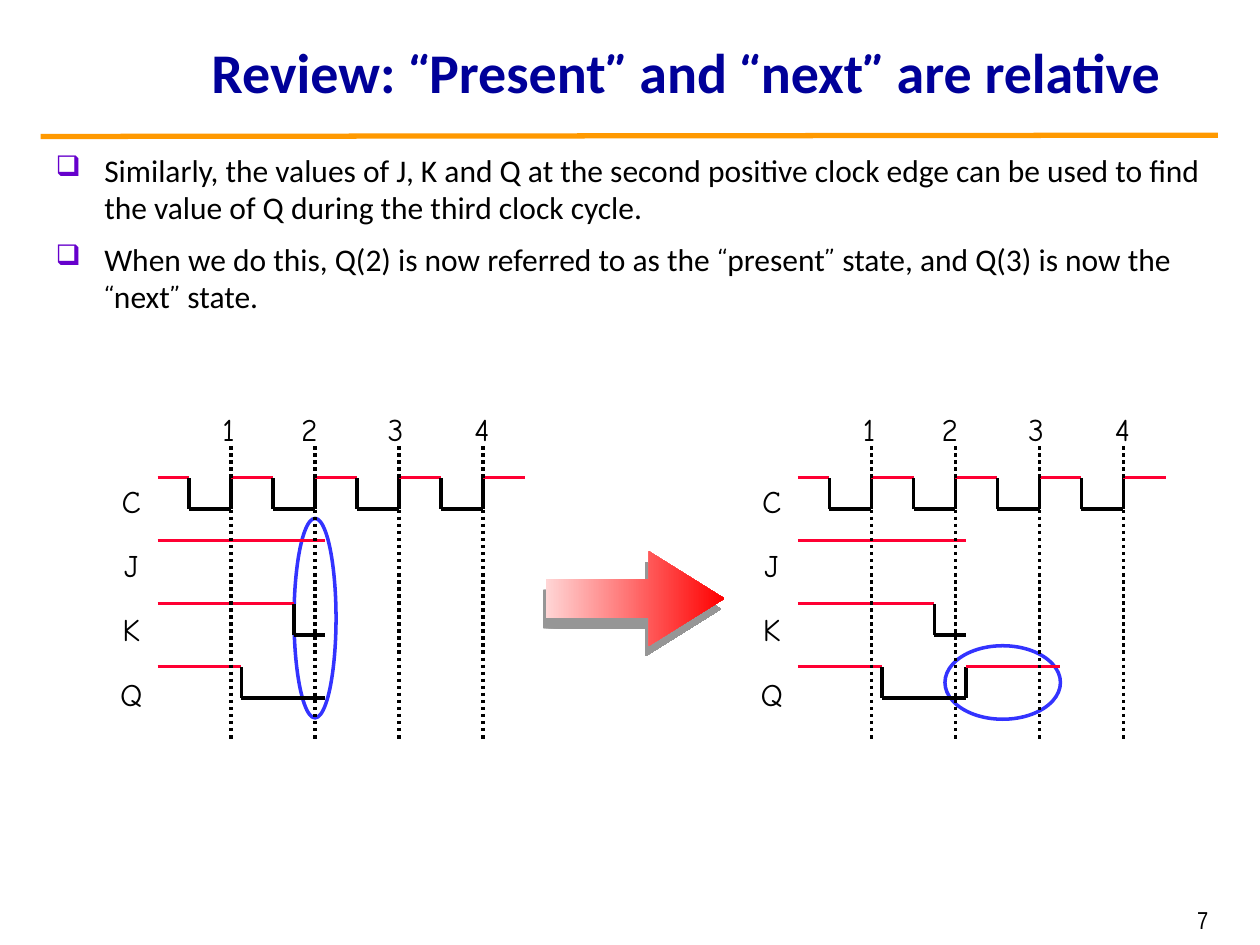
"""Build the slide on present and next states with two timing diagrams."""
from dataclasses import dataclass
from itertools import groupby, pairwise

import lxml.etree
import pptx
import pptx.dml.color
import pptx.enum.dml
import pptx.enum.shapes
import pptx.enum.text
import pptx.oxml.ns
import pptx.util

EMU_PER_PX = 9525
QUOTES = "“”"
ALIGN = pptx.enum.text.PP_ALIGN
SHAPE = pptx.enum.shapes.MSO_SHAPE


@dataclass(frozen=True)
class Theme:
    title: str = "000099"
    rule: str = "FF9900"
    text: str = "000000"
    bullet: str = "6600CC"
    high: str = "FF0033"
    low: str = "000000"
    focus: str = "3333FF"
    arrow_start: str = "FFD5D5"
    arrow_end: str = "FF0000"
    shadow: str = "969696"
    body_font: str = "Calibri"
    diagram_font: str = "Comic Neue"
    number_font: str = "Arial Narrow"
    title_size: int = 32
    body_size: int = 18
    number_size: int = 14
    rule_width: int = 3
    signal_width: int = 2


@dataclass(frozen=True)
class Box:
    left: int
    top: int
    width: int
    height: int

    def emu(self) -> list[int]:
        return [px(n) for n in (self.left, self.top, self.width, self.height)]


@dataclass(frozen=True)
class Signal:
    """A signal that starts high and toggles at each inner offset."""
    name: str
    offsets: tuple[int, ...]


@dataclass(frozen=True)
class Diagram:
    left: int
    signals: tuple[Signal, ...]
    focus: Box


THEME = Theme()
SIGNAL_TOP, SIGNAL_PITCH, SWING = 364, 48, 24
EDGE_START, EDGE_PITCH, EDGE_TOP, EDGE_BOTTOM = 56, 64, 340, 564
TAB_START, TAB_PITCH = 60, 66

CLOCK = Signal("C", (0, *range(24, 281, 32)))
INPUT_J = Signal("J", (0, 128))
INPUT_K = Signal("K", (0, 104, 128))
DIAGRAMS = (
    Diagram(120, (CLOCK, INPUT_J, INPUT_K, Signal("Q", (0, 64, 128))),
            Box(224, 395, 32, 152)),
    Diagram(608, (CLOCK, INPUT_J, INPUT_K, Signal("Q", (0, 64, 128, 200))),
            Box(720, 492, 88, 56)),
)
TITLE = "Review: “Present” and “next” are relative"
POINTS = (
    "Similarly, the values of J, K and Q at the second positive clock edge "
    "can be used to find the value of Q during the third clock cycle.",
    "When we do this, Q(2) is now referred to as the “present” state, "
    "and Q(3) is now the “next” state.",
)


def px(length: int) -> int:
    return pptx.util.Emu(length * EMU_PER_PX)


def rgb(value: str) -> pptx.dml.color.RGBColor:
    return pptx.dml.color.RGBColor.from_string(value)


def add_xml(parent, tag: str, **attributes):
    return lxml.etree.SubElement(parent, pptx.oxml.ns.qn(tag), attributes)


def style(paragraph, size: int, color: str, name: str | None = None) -> None:
    paragraph.font.size = pptx.util.Pt(size)
    paragraph.font.color.rgb = rgb(color)
    if name:
        paragraph.font.name = name


def add_quoted_text(paragraph, text: str) -> None:
    """Add runs whose quotation marks use the diagram font."""
    for is_quote, letters in groupby(text, lambda letter: letter in QUOTES):
        run = paragraph.add_run()
        run.text = "".join(letters)
        run.font.name = THEME.diagram_font if is_quote else THEME.body_font


def add_text_frame(slide, box: Box, wrap: bool):
    frame = slide.shapes.add_textbox(*box.emu()).text_frame
    frame.word_wrap = wrap
    return frame


def paragraphs(frame, count: int) -> list:
    return [frame.paragraphs[0]] + [frame.add_paragraph() for _ in range(count - 1)]


def add_line(slide, start: tuple[int, int], end: tuple[int, int], color: str,
             width: int = THEME.signal_width, dotted: bool = False) -> None:
    connector = slide.shapes.add_connector(
        pptx.enum.shapes.MSO_CONNECTOR.STRAIGHT, *map(px, start + end))
    connector.line.color.rgb = rgb(color)
    connector.line.width = pptx.util.Pt(width)
    if dotted:
        connector.line.dash_style = pptx.enum.dml.MSO_LINE.ROUND_DOT
    add_xml(connector._element.spPr, "a:effectLst")


def add_title(slide) -> None:
    title = slide.shapes.title
    title.left, title.top, title.width, title.height = Box(117, 12, 811, 84).emu()
    title.text_frame.auto_size = pptx.enum.text.MSO_AUTO_SIZE.NONE
    title.text_frame.vertical_anchor = pptx.enum.text.MSO_ANCHOR.MIDDLE
    heading = title.text_frame.paragraphs[0]
    heading.alignment = ALIGN.CENTER
    style(heading, THEME.title_size, THEME.title)
    heading.font.bold = True
    add_quoted_text(heading, TITLE)


def add_points(slide) -> None:
    frame = add_text_frame(slide, Box(33, 110, 897, 574), wrap=True)
    for point, text in zip(paragraphs(frame, len(POINTS)), POINTS):
        properties = point._p.get_or_add_pPr()
        properties.set("marL", str(px(37)))
        properties.set("indent", str(px(-37)))
        add_xml(add_xml(properties, "a:buClr"), "a:srgbClr", val=THEME.bullet)
        add_xml(properties, "a:buSzPct", val="90000")
        add_xml(properties, "a:buChar", char="❑")
        point.space_before = pptx.util.Pt(7.7)
        style(point, THEME.body_size, THEME.text)
        add_quoted_text(point, text)


def add_signal(slide, left: int, top: int, signal: Signal) -> None:
    levels = ((top, THEME.high), (top + SWING, THEME.low))
    for index, (start, end) in enumerate(pairwise(signal.offsets)):
        level, color = levels[index % 2]
        if index:
            add_line(slide, (left + start, top + SWING), (left + start, top), THEME.low)
        add_line(slide, (left + start, level), (left + end, level), color)


def add_diagram(slide, diagram: Diagram) -> None:
    left = diagram.left
    focus = slide.shapes.add_shape(SHAPE.OVAL, *diagram.focus.emu())
    focus.shadow.inherit = False
    focus.fill.background()
    focus.line.color.rgb = rgb(THEME.focus)
    focus.line.width = pptx.util.Pt(THEME.signal_width)

    names = add_text_frame(slide, Box(left - 40, 348, 40, 200), wrap=False)
    for row, (name, signal) in enumerate(zip(paragraphs(names, 4), diagram.signals)):
        name.text = signal.name
        name.alignment = ALIGN.CENTER
        name.line_spacing = 1.7 if row else 1.5
        style(name, THEME.body_size, THEME.text, THEME.diagram_font)
        add_signal(slide, left, SIGNAL_TOP + row * SIGNAL_PITCH, signal)

    cycles = add_text_frame(slide, Box(left + 40, 308, 226, 38), wrap=False).paragraphs[0]
    cycles.text = "1\t2\t3\t4"
    tabs = add_xml(cycles._p.get_or_add_pPr(), "a:tabLst")
    for index in range(3):
        add_xml(tabs, "a:tab", pos=str(px(TAB_START + index * TAB_PITCH)), algn="l")
    style(cycles, THEME.body_size, THEME.text, THEME.diagram_font)

    for index in range(4):
        edge = left + EDGE_START + index * EDGE_PITCH
        add_line(slide, (edge, EDGE_TOP), (edge, EDGE_BOTTOM), THEME.low, dotted=True)


def add_step_arrow(slide) -> None:
    arrow = slide.shapes.add_shape(SHAPE.RIGHT_ARROW, *Box(416, 420, 136, 72).emu())
    arrow.adjustments[0], arrow.adjustments[1] = 0.41, 0.8
    arrow.fill.gradient()
    arrow.fill.gradient_angle = 0
    for stop, position, color in zip(arrow.fill.gradient_stops, (0, 1),
                                     (THEME.arrow_start, THEME.arrow_end)):
        stop.position = position
        stop.color.rgb = rgb(color)
    arrow.line.fill.background()
    arrow.shadow.inherit = False
    effects = arrow._element.spPr.find(pptx.oxml.ns.qn("a:effectLst"))
    shadow = add_xml(effects, "a:outerShdw", blurRad="0", dist=str(pptx.util.Pt(6.3)),
                     dir=str(108 * 60000), algn="ctr", rotWithShape="0")
    add_xml(shadow, "a:srgbClr", val=THEME.shadow)


def main() -> None:
    deck = pptx.Presentation()
    deck.slide_width, deck.slide_height = px(960), px(720)
    slide = deck.slides.add_slide(deck.slide_layouts[5])
    add_line(slide, (31, 104), (928, 103), THEME.rule, THEME.rule_width)
    add_title(slide)
    add_points(slide)
    for diagram in DIAGRAMS:
        add_diagram(slide, diagram)
    add_step_arrow(slide)
    number = add_text_frame(slide, Box(703, 685, 227, 30), wrap=True).paragraphs[0]
    number.text = "7"
    number.alignment = ALIGN.RIGHT
    style(number, THEME.number_size, THEME.text, THEME.number_font)
    deck.save("out.pptx")


if __name__ == "__main__":
    main()
